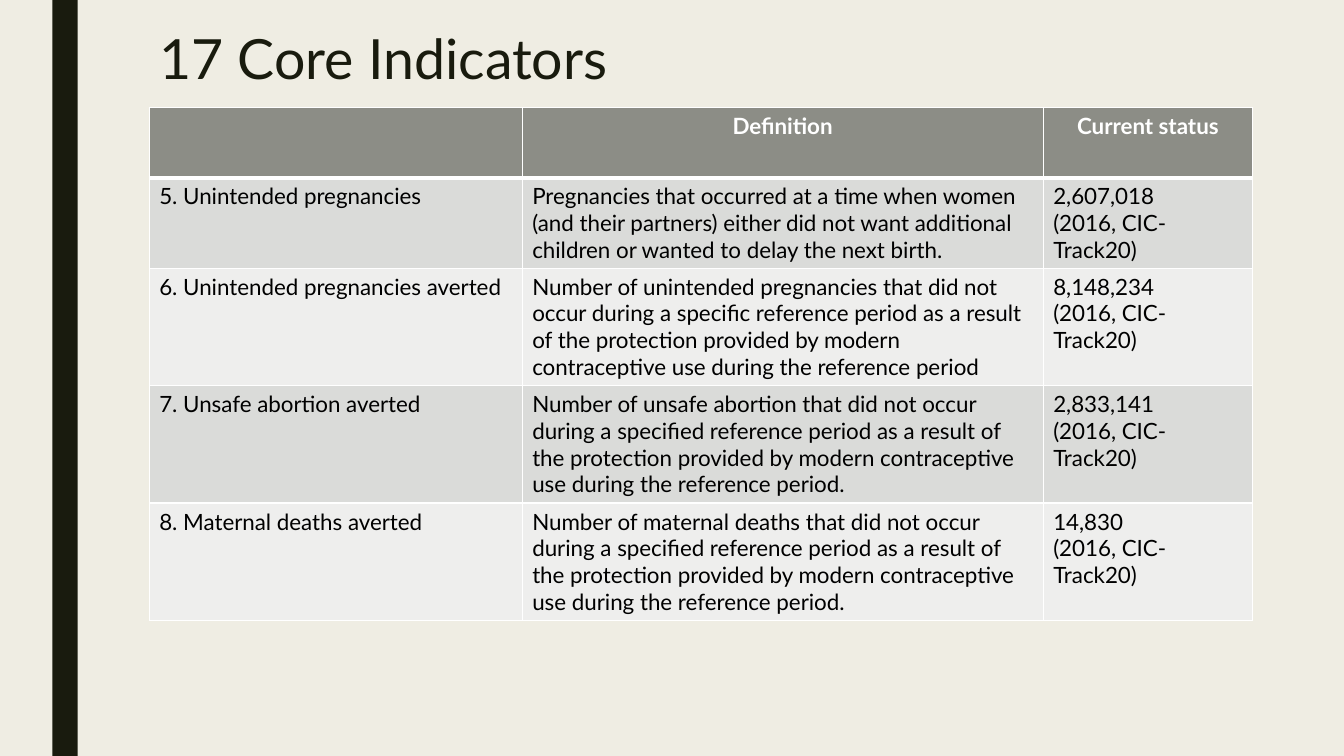
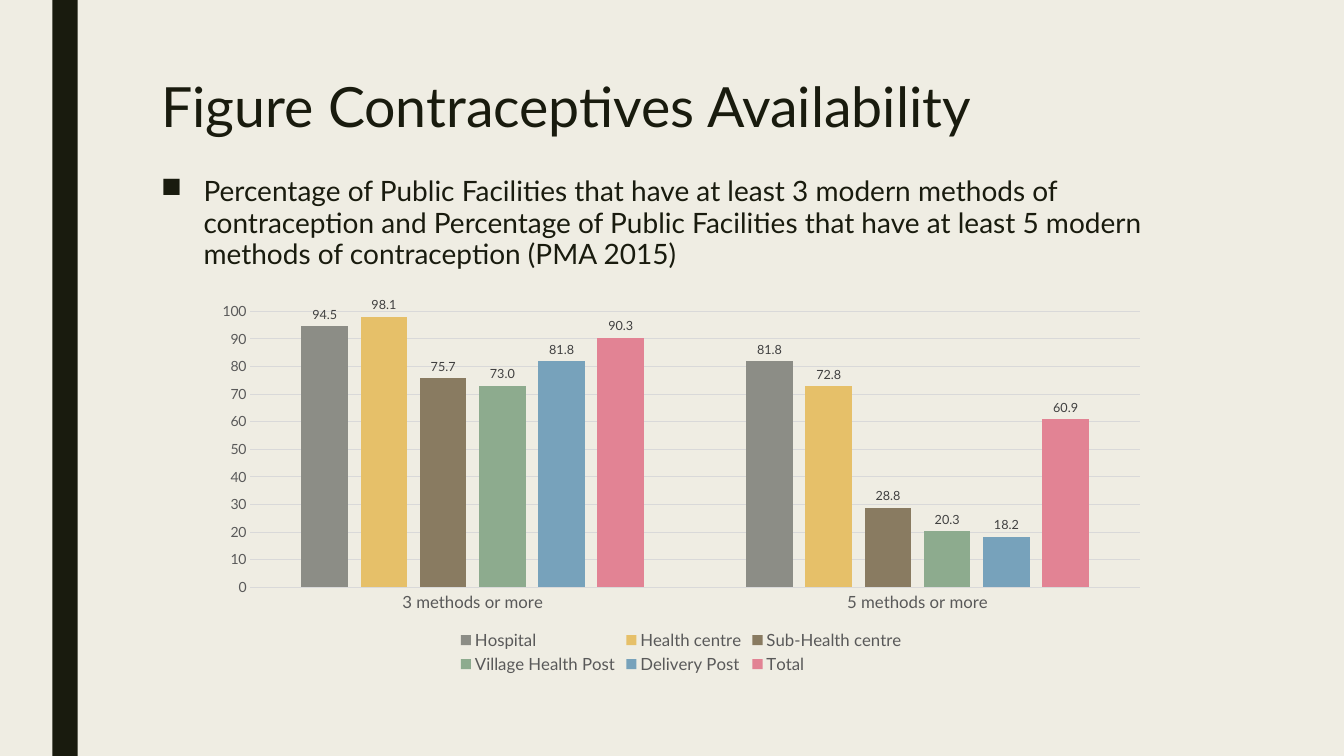
"""Build two slides on family planning indicators."""
from lxml import etree
from pptx import Presentation
from pptx.chart.data import CategoryChartData
from pptx.dml.color import RGBColor
from pptx.enum.chart import (XL_CHART_TYPE, XL_LABEL_POSITION,
                             XL_LEGEND_POSITION, XL_TICK_MARK)
from pptx.enum.shapes import MSO_SHAPE
from pptx.enum.text import MSO_ANCHOR, MSO_AUTO_SIZE, PP_ALIGN
from pptx.oxml.ns import qn
from pptx.util import Cm, Pt

COLUMN = XL_CHART_TYPE.COLUMN_CLUSTERED
OUTSIDE = XL_LABEL_POSITION.OUTSIDE_END
BOTTOM = XL_LEGEND_POSITION.BOTTOM
NO_TICK = XL_TICK_MARK.NONE
RECT = MSO_SHAPE.RECTANGLE
TOP = MSO_ANCHOR.TOP
NO_FIT = MSO_AUTO_SIZE.NONE
LEFT, CENTER = PP_ALIGN.LEFT, PP_ALIGN.CENTER

FONT = "Lato"
CREAM = RGBColor(0xEF, 0xED, 0xE3)
INK = RGBColor(0x19, 0x1B, 0x0E)
WHITE = RGBColor(0xFF, 0xFF, 0xFF)
BLACK = RGBColor(0, 0, 0)
GRAY = RGBColor(0x8C, 0x8D, 0x86)
BANDS = (RGBColor(0xDA, 0xDB, 0xD9), RGBColor(0xEE, 0xEE, 0xED))
GRID = RGBColor(0xD9, 0xD9, 0xD9)
AXIS = RGBColor(0x59, 0x59, 0x59)
LABEL = RGBColor(0x40, 0x40, 0x40)
GOLD = RGBColor(0xE6, 0xC0, 0x69)
BROWN = RGBColor(0x89, 0x7B, 0x61)
GREEN = RGBColor(0x8D, 0xAB, 0x8E)
BLUE = RGBColor(0x77, 0xA2, 0xBB)
PINK = RGBColor(0xE2, 0x83, 0x94)

WIDTHS = (9.4, 13.13, 5.28)
HEIGHTS = (1.78, 2.26, 2.96, 2.96, 2.96)
HEADS = ("", "Definition", "Current status")
SOURCE = "(2016, CIC-Track20)"
ROWS = (
    ("5. Unintended pregnancies",
     "Pregnancies that occurred at a time when women (and their partners) either "
     "did not want additional children or wanted to delay the next birth.",
     f"2,607,018\n{SOURCE}"),
    ("6. Unintended pregnancies averted",
     "Number of unintended pregnancies that did not occur during a specific "
     "reference period as a result of the protection provided by modern "
     "contraceptive use during the reference period",
     f"8,148,234\n{SOURCE}"),
    ("7. Unsafe abortion averted",
     "Number of unsafe abortion that did not occur during a specified reference "
     "period as a result of the protection provided by modern contraceptive use "
     "during the reference period.",
     f"2,833,141\n{SOURCE}"),
    ("8. Maternal deaths averted",
     "Number of maternal deaths that did not occur during a specified reference "
     "period as a result of the protection provided by modern contraceptive use "
     "during the reference period.",
     f"14,830\n{SOURCE}"),
)
GROUPS = ("3 methods or more", "5 methods or more")
SERIES = (
    ("Hospital", (94.5, 81.8), GRAY),
    ("Health centre", (98.1, 72.8), GOLD),
    ("Sub-Health centre", (75.7, 28.8), BROWN),
    ("Village Health Post", (73, 20.3), GREEN),
    ("Delivery Post", (81.8, 18.2), BLUE),
    ("Total", (90.3, 60.9), PINK),
)


def set_font(font, size, color, bold=False):
    """Set the face, size, colour and weight of a font."""
    font.name, font.size, font.bold = FONT, Pt(size), bold
    font.color.rgb = color


def put_text(frame, text, size=16, color=BLACK, bold=False, align=LEFT,
             pitch=None, after=None, bullet=None, indent=0):
    """Write text into a frame, one paragraph per line."""
    frame.word_wrap = True
    for i, line in enumerate(text.split("\n")):
        para = frame.add_paragraph() if i else frame.paragraphs[0]
        para.alignment, para.line_spacing = align, pitch
        if after:
            para.space_after = Pt(after)
        if bullet:
            props = para._p.get_or_add_pPr()
            props.set("marL", str(Cm(indent)))
            props.set("indent", str(-Cm(indent)))
            etree.SubElement(props, qn("a:buChar")).set("char", bullet)
        run = para.add_run()
        run.text = line
        set_font(run.font, size, color, bold)


def add_page(deck, title, left, top, height):
    """Add a slide with the side band and a title."""
    slide = deck.slides.add_slide(deck.slide_layouts[5])
    band = slide.shapes.add_shape(RECT, Cm(1.32), 0, Cm(0.64), deck.slide_height)
    band.shadow.inherit = False
    band.fill.solid()
    band.fill.fore_color.rgb = INK
    band.line.fill.background()
    head = slide.shapes.title
    head.left, head.top = Cm(left), Cm(top)
    head.width, head.height = Cm(26.67), Cm(height)
    frame = head.text_frame
    frame.auto_size, frame.vertical_anchor = NO_FIT, TOP
    put_text(frame, title, size=39.6, color=INK, pitch=0.89)
    return slide


def add_edge(cell, side, width):
    """Draw one white border of a cell."""
    props = cell._tc.get_or_add_tcPr()
    line = etree.SubElement(props, qn(f"a:ln{side}"), w=str(Pt(width)))
    fill = etree.SubElement(line, qn("a:solidFill"))
    etree.SubElement(fill, qn("a:srgbClr"), val=str(WHITE))


def fill_cell(cell, text, fill, base=1, **form):
    """Give a cell its borders, fill and text."""
    for side in "LRT":
        add_edge(cell, side, 1)
    add_edge(cell, "B", base)
    cell.fill.solid()
    cell.fill.fore_color.rgb = fill
    if text:
        put_text(cell.text_frame, text, **form)


def add_grid(slide):
    """Add the table of indicators."""
    frame = slide.shapes.add_table(
        len(HEIGHTS), len(WIDTHS), Cm(3.76), Cm(2.7),
        Cm(sum(WIDTHS)), Cm(sum(HEIGHTS)))
    table = frame.table
    for col, width in zip(table.columns, WIDTHS):
        col.width = Cm(width)
    for row, height in zip(table.rows, HEIGHTS):
        row.height = Cm(height)
    for c, text in enumerate(HEADS):
        fill_cell(table.cell(0, c), text, GRAY, base=3,
                  color=WHITE, bold=True, align=CENTER)
    for r, row in enumerate(ROWS):
        for c, text in enumerate(row):
            fill_cell(table.cell(r + 1, c), text, BANDS[r % 2])


def set_line(form, color):
    """Format a thin chart line."""
    form.line.color.rgb = color
    form.line.width = Pt(0.75)


def style_axes(chart):
    """Format both axes and the grid lines."""
    cats, vals = chart.category_axis, chart.value_axis
    for axis, size in ((cats, 12), (vals, 10)):
        axis.major_tick_mark = axis.minor_tick_mark = NO_TICK
        set_font(axis.tick_labels.font, size, AXIS)
    set_line(cats.format, GRID)
    vals.format.line.fill.background()
    set_line(vals.major_gridlines.format, GRID)
    vals.minimum_scale, vals.maximum_scale, vals.major_unit = 0, 100, 10
    vals.tick_labels.number_format = "#,##0"
    vals.tick_labels.number_format_is_linked = False


def add_bars(slide):
    """Add the clustered column chart."""
    data = CategoryChartData(number_format="0.0")
    data.categories = GROUPS
    for name, values, _ in SERIES:
        data.add_series(name, values)
    chart = slide.shapes.add_chart(
        COLUMN, Cm(5.13), Cm(7.44), Cm(24.08), Cm(9.65), data).chart
    set_font(chart.font, 10, BLACK)
    chart.has_title = False
    chart.has_legend = True
    chart.legend.position = BOTTOM
    chart.legend.include_in_layout = False
    set_font(chart.legend.font, 12, AXIS)
    style_axes(chart)
    plot = chart.plots[0]
    plot.gap_width, plot.overlap = 219, -27
    plot.vary_by_categories = False
    for series, (_, _, color) in zip(plot.series, SERIES):
        series.format.fill.solid()
        series.format.fill.fore_color.rgb = color
        labels = series.data_labels
        labels.show_value = True
        labels.position = OUTSIDE
        labels.number_format, labels.number_format_is_linked = "0.0", False
        set_font(labels.font, 9, LABEL)


def main():
    """Build and save the deck."""
    deck = Presentation()
    deck.slide_width, deck.slide_height = Cm(33.87), Cm(19.05)
    back = deck.slide_master.background.fill
    back.solid()
    back.fore_color.rgb = CREAM

    add_grid(add_page(deck, "17 Core Indicators", 3.76, 0.69, 1.73))

    slide = add_page(deck, "Figure Contraceptives Availability", 3.81, 1.9, 2.16)
    box = slide.shapes.add_textbox(Cm(3.81), Cm(4.32), Cm(26.67), Cm(3.12))
    put_text(box.text_frame,
             "Percentage of Public Facilities that have at least 3 modern methods "
             "of contraception and Percentage of Public Facilities that have at "
             "least 5 modern methods of contraception (PMA 2015)",
             size=20, color=INK, pitch=0.94, after=2, bullet="■", indent=1.07)
    add_bars(slide)
    deck.save("out.pptx")


if __name__ == "__main__":
    main()
